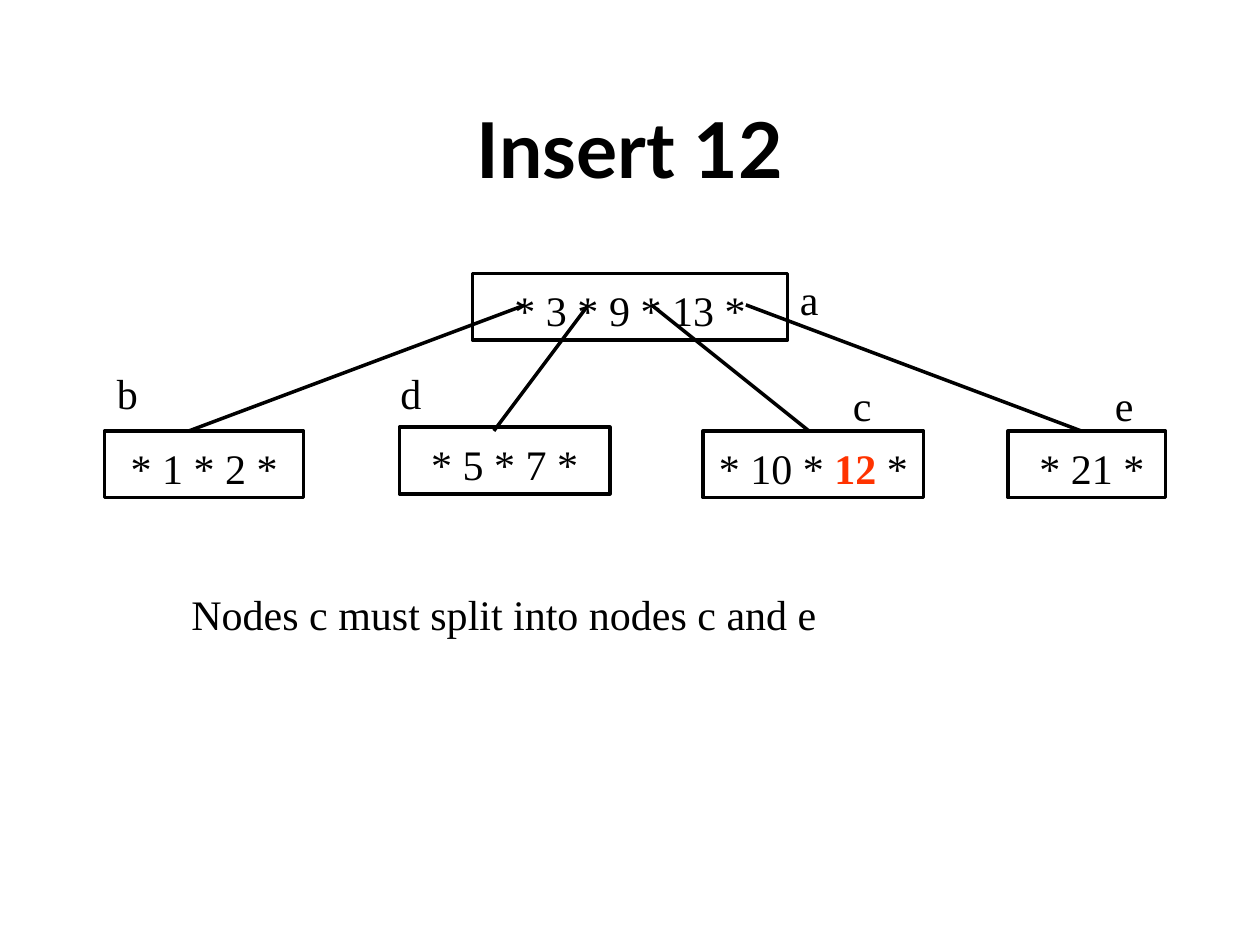
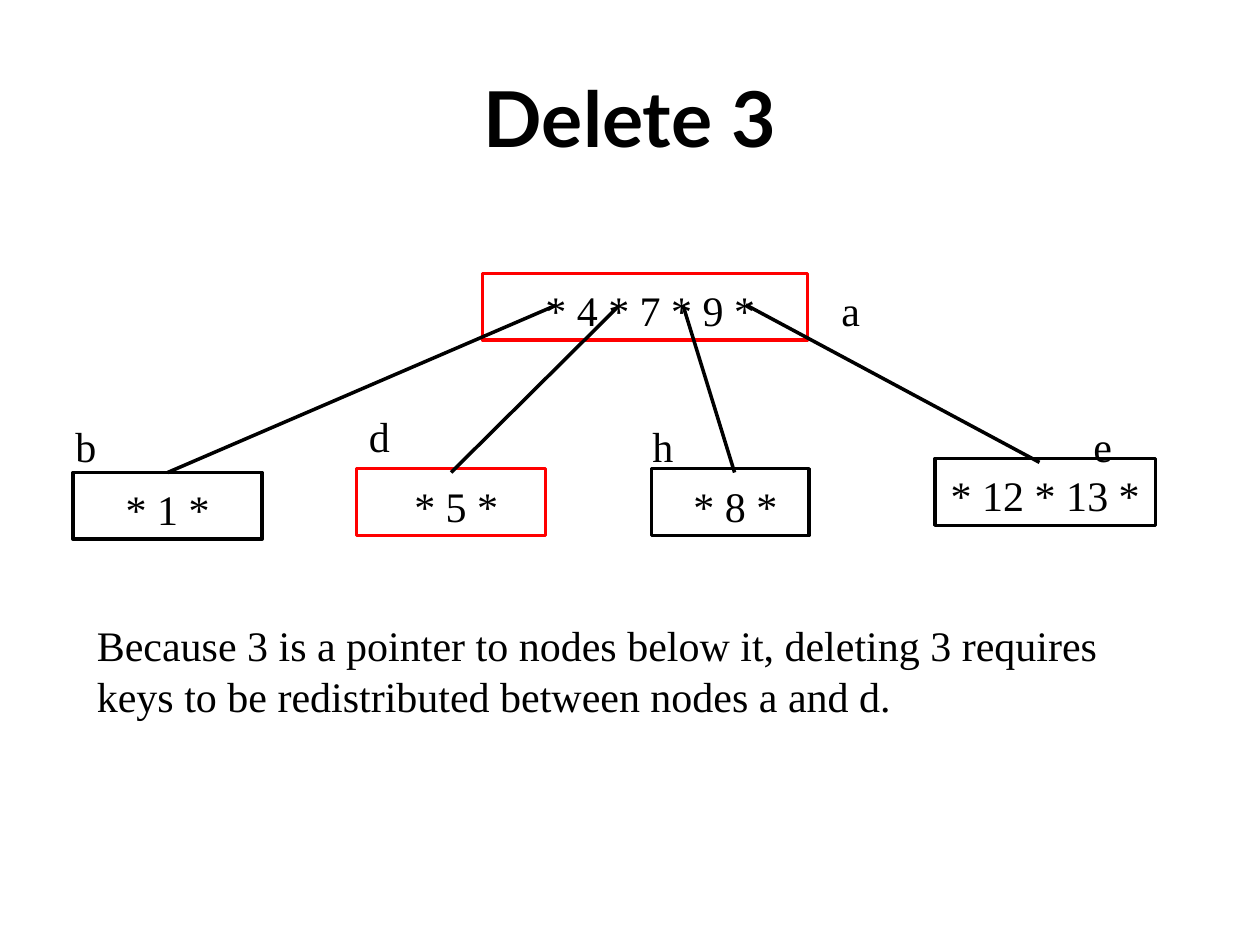
import dataclasses
import typing

import pptx
import pptx.dml.color
import pptx.enum.shapes
import pptx.enum.text
import pptx.oxml.ns
import pptx.presentation
import pptx.slide
import pptx.text.text
import pptx.util
from lxml import etree

Inches = pptx.util.Inches
Pt = pptx.util.Pt
RGBColor = pptx.dml.color.RGBColor
Align = pptx.enum.text.PP_ALIGN
Anchor = pptx.enum.text.MSO_ANCHOR

BLACK = RGBColor(0x00, 0x00, 0x00)
RED = RGBColor(0xFF, 0x00, 0x00)
NEW_KEY_RED = RGBColor(0xFF, 0x33, 0x00)
TITLE_FONT = "Lato"
BODY_FONT = "Times New Roman"
TITLE_SIZE = Pt(44)
BODY_SIZE = Pt(24)
LINE_WIDTH = Pt(2)
NODE_HEIGHT = 0.53
LABEL_SIZE = 0.5
TEXT_TOP_MARGIN = Inches(0.09)
POINTER_TOP = 2.42


class Area(typing.NamedTuple):
    left: float
    top: float
    width: float
    height: float

    def lengths(self) -> list[pptx.util.Length]:
        return [Inches(value) for value in self]


class Pointer(typing.NamedTuple):
    """A line from the root's row of pointers down to a child node."""
    start_x: float
    end_x: float
    end_y: float


@dataclasses.dataclass(frozen=True)
class Node:
    label: str
    label_at: tuple[float, float]
    keys: str
    left: float
    top: float
    width: float
    pointer: Pointer | None = None
    outline: RGBColor = BLACK
    new_key: str = ""


@dataclasses.dataclass(frozen=True)
class TreePage:
    title: str
    title_area: Area
    nodes: list[Node]
    note: str
    note_area: Area


PAGES = [
    TreePage(
        "Insert 12", Area(0.75, 0.67, 8.5, 1),
        [
            Node("a", (6.25, 2.08), "* 3 * 9 * 13 *", 3.75, 2.17, 2.5),
            Node("b", (0.83, 2.83), "* 1 * 2 *", 0.83, 3.42, 1.58, Pointer(4.17, 1.5, 3.42)),
            Node("d", (3.08, 2.83), "* 5 * 7 *", 3.17, 3.39, 1.67, Pointer(4.67, 3.92, 3.42)),
            Node("c", (6.67, 2.92), "* 10 * 12 *", 5.58, 3.42, 1.75, Pointer(5.17, 6.42, 3.42),
                 new_key="12"),
            Node("e", (8.75, 2.92), " * 21 *", 8, 3.42, 1.25, Pointer(5.92, 8.58, 3.42)),
        ],
        "Nodes c must split into nodes c and e", Area(1.42, 4.58, 6.92, 0.5),
    ),
    TreePage(
        "Delete 3", Area(0.5, 0.3, 9, 1.25),
        [
            Node("a", (6.58, 2.17), " * 4 * 7 * 9 *", 3.83, 2.17, 2.58, outline=RED),
            Node("b", (0.5, 3.25), "* 1 *", 0.58, 3.75, 1.5, Pointer(4.42, 1.33, 3.75)),
            Node("d", (2.83, 3.17), " * 5 *", 2.83, 3.72, 1.5, Pointer(4.92, 3.58, 3.75),
                 outline=RED),
            Node("h", (5.08, 3.25), " * 8 *", 5.17, 3.72, 1.25, Pointer(5.42, 5.83, 3.75)),
            Node("e", (8.58, 3.25), "* 12 * 13 *", 7.42, 3.64, 1.75, Pointer(5.92, 8.25, 3.67)),
        ],
        "Because 3 is a pointer to nodes below it, deleting 3 requires "
        "keys to be redistributed between nodes a and d.",
        Area(0.67, 4.83, 8.42, 0.91),
    ),
]


def write_body(frame: pptx.text.text.TextFrame, text: str, align: Align,
               new_key: str = "") -> None:
    """Fill a frame with body text, with new_key, if any, bold and red."""
    frame.word_wrap = True
    frame.vertical_anchor = Anchor.TOP
    frame.margin_top = TEXT_TOP_MARGIN
    para = frame.paragraphs[0]
    para.alignment = align
    para.font.name = BODY_FONT
    para.font.size = BODY_SIZE
    para.font.color.rgb = BLACK
    parts = text.partition(new_key) if new_key else (text,)
    for part in parts:
        span = para.add_run()
        span.text = part
        if part == new_key:
            span.font.bold = True
            span.font.color.rgb = NEW_KEY_RED


def add_title(page: pptx.slide.Slide, text: str, area: Area) -> None:
    frame = page.shapes.add_textbox(*area.lengths()).text_frame
    frame.word_wrap = True
    frame.vertical_anchor = Anchor.MIDDLE
    para = frame.paragraphs[0]
    para.text = text
    para.alignment = Align.CENTER
    para.font.name = TITLE_FONT
    para.font.size = TITLE_SIZE
    para.font.bold = True
    para.font.color.rgb = BLACK


def add_body_text(page: pptx.slide.Slide, text: str, area: Area) -> None:
    box = page.shapes.add_textbox(*area.lengths())
    write_body(box.text_frame, text, Align.LEFT)


def add_node_box(page: pptx.slide.Slide, node: Node) -> None:
    area = Area(node.left, node.top, node.width, NODE_HEIGHT)
    box = page.shapes.add_shape(pptx.enum.shapes.MSO_SHAPE.RECTANGLE, *area.lengths())
    box.shadow.inherit = False
    box.fill.background()
    box.line.color.rgb = node.outline
    box.line.width = LINE_WIDTH
    write_body(box.text_frame, node.keys, Align.CENTER, node.new_key)


def add_pointer(page: pptx.slide.Slide, pointer: Pointer) -> None:
    line = page.shapes.add_connector(
        pptx.enum.shapes.MSO_CONNECTOR.STRAIGHT,
        Inches(pointer.start_x), Inches(POINTER_TOP),
        Inches(pointer.end_x), Inches(pointer.end_y))
    line.line.color.rgb = BLACK
    line.line.width = LINE_WIDTH
    etree.SubElement(line._element.spPr, pptx.oxml.ns.qn("a:effectLst"))


def add_tree_page(deck: pptx.presentation.Presentation, tree: TreePage) -> None:
    page = deck.slides.add_slide(deck.slide_layouts[6])
    add_title(page, tree.title, tree.title_area)
    for node in tree.nodes:
        add_node_box(page, node)
    for node in tree.nodes:
        if node.pointer:
            add_pointer(page, node.pointer)
    for node in tree.nodes:
        add_body_text(page, node.label, Area(*node.label_at, LABEL_SIZE, LABEL_SIZE))
    add_body_text(page, tree.note, tree.note_area)


def main() -> None:
    deck = pptx.Presentation()
    deck.slide_width = Inches(10)
    deck.slide_height = Inches(7.5)
    for tree in PAGES:
        add_tree_page(deck, tree)
    deck.save("out.pptx")


if __name__ == "__main__":
    main()
